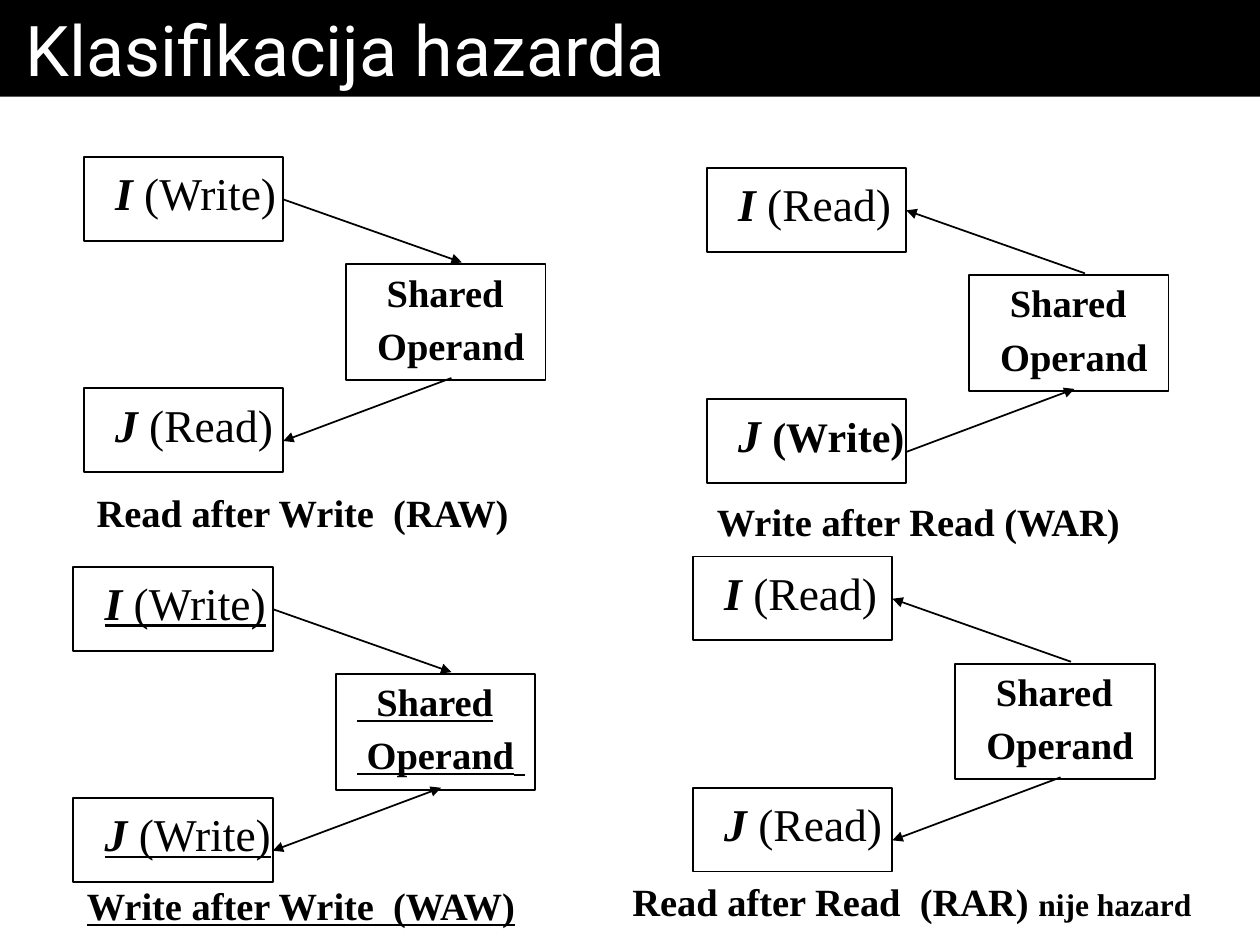
from dataclasses import dataclass

from lxml import etree
from pptx import Presentation
from pptx import util as u
from pptx.dml.color import RGBColor
from pptx.enum import shapes, text
from pptx.oxml import ns

Cm = u.Cm


@dataclass(frozen=True)
class Theme:
    ink: RGBColor = RGBColor(0, 0, 0)
    paper: RGBColor = RGBColor(255, 255, 255)
    title_font: str = "Roboto"
    body_font: str = "Times New Roman"
    title_size: int = 40
    label_size: int = 26
    strong_size: int = 24
    caption_size: int = 22
    note_size: int = 18
    line_width: int = 1


THEME = Theme()


@dataclass(frozen=True)
class Hazard:
    left: float
    top: float
    first: tuple
    second: tuple
    upper_ends: str
    lower_ends: str
    caption: tuple
    caption_at: tuple
    caption_width: float
    underline: bool = False


def run(content, **font):
    return content, font


def name(letter):
    return run(letter, size=THEME.label_size, bold=True, italic=True)


def action(content):
    return run(content, size=THEME.label_size)


def strong(content, size=THEME.caption_size):
    return run(content, size=size, bold=True)


def write_text(frame, lines, font=THEME.body_font, color=THEME.ink, underline=None):
    for index, line in enumerate(lines):
        paragraph = frame.add_paragraph() if index else frame.paragraphs[0]
        paragraph.alignment = text.PP_ALIGN.LEFT
        for content, style in line:
            piece = paragraph.add_run()
            piece.text = content
            piece.font.name = font
            piece.font.color.rgb = color
            piece.font.size = u.Pt(style["size"])
            piece.font.bold = style.get("bold", False)
            piece.font.italic = style.get("italic", False)
            piece.font.underline = underline


def add_label(parent, left, top, width, height, lines, **style):
    label = parent.shapes.add_textbox(Cm(left), Cm(top), Cm(width), Cm(height))
    label.text_frame.word_wrap = True
    label.text_frame.auto_size = text.MSO_AUTO_SIZE.SHAPE_TO_FIT_TEXT
    write_text(label.text_frame, lines, **style)


def add_box(parent, left, top, width, height):
    box = parent.shapes.add_shape(
        shapes.MSO_SHAPE.RECTANGLE, Cm(left), Cm(top), Cm(width), Cm(height))
    box.shadow.inherit = False
    box.fill.background()
    box.line.color.rgb = THEME.ink
    box.line.width = u.Pt(THEME.line_width)


def add_arrow(parent, start, end, ends):
    arrow = parent.shapes.add_connector(
        shapes.MSO_CONNECTOR.STRAIGHT, *map(Cm, start + end))
    arrow.line.color.rgb = THEME.ink
    arrow.line.width = u.Pt(THEME.line_width)
    line = arrow.line._get_or_add_ln()
    for tag, side in (("a:headEnd", "start"), ("a:tailEnd", "end")):
        if ends in (side, "both"):
            etree.SubElement(line, ns.qn(tag), type="triangle")
    etree.SubElement(arrow._element.spPr, ns.qn("a:effectLst"))


def add_title(slide, content):
    band = slide.shapes.add_shape(
        shapes.MSO_SHAPE.RECTANGLE, 0, 0, Cm(25.4), Cm(1.95))
    band.shadow.inherit = False
    band.fill.solid()
    band.fill.fore_color.rgb = THEME.ink
    band.line.fill.background()
    frame = band.text_frame
    frame.word_wrap = True
    frame.margin_left = frame.margin_right = Cm(0.51)
    frame.vertical_anchor = text.MSO_ANCHOR.TOP
    write_text(frame, [[run(content, size=THEME.title_size)]],
               font=THEME.title_font, color=THEME.paper)


def add_hazard(slide, hazard):
    group = slide.shapes.add_group_shape()
    left, top, underline = hazard.left, hazard.top, hazard.underline

    def at(across, down):
        return left + across, top + down

    for down, runs in ((0, hazard.first), (4.66, hazard.second)):
        add_box(group, *at(0, down), 4.02, 1.69)
        add_label(group, *at(0.38, down + 0.04), 4, 1.37, [runs],
                  underline=underline)

    add_box(group, *at(5.29, 2.16), 4.02, 2.33)
    operand = [[strong("  Shared")], [strong(" Operand"), action(" ")]]
    add_label(group, *at(5.47, 2.12), 4, 2.29, operand, underline=underline)

    add_arrow(group, at(4.02, 0.85), at(7.62, 2.12), hazard.upper_ends)
    add_arrow(group, at(7.41, 4.45), at(4.02, 5.72), hazard.lower_ends)
    add_label(group, *at(*hazard.caption_at), hazard.caption_width, 1.19,
              [hazard.caption], underline=underline)


def main():
    presentation = Presentation()
    presentation.slide_width, presentation.slide_height = Cm(25.4), Cm(19.05)
    slide = presentation.slides.add_slide(presentation.slide_layouts[6])
    add_title(slide, "Klasifikacija hazarda")

    write_first = (name("I"), action(" (Write)"))
    read_first = (name("I"), action(" (Read)"))
    read_second = (name("J"), action(" (Read)"))
    hazards = (
        Hazard(1.69, 3.17, write_first, read_second, "end", "end",
               (strong("Read after Write  (RAW)"),), (0.01, 6.56), 9.1),
        Hazard(14.25, 3.39, read_first,
               (name("J "), strong("(Write)", THEME.strong_size)),
               "start", "start",
               (strong("Write after Read (WAR)"),), (-0.05, 6.53), 8.9),
        Hazard(1.48, 11.43, write_first,
               (name("J "), action("(Write)")), "end", "both",
               (strong("Write after Write  (WAW)"),), (0.02, 6.22), 9.5,
               underline=True),
        Hazard(13.97, 11.22, read_first, read_second, "start", "end",
               (strong("Read after Read  (RAR) "),
                strong("nije hazard", THEME.note_size)), (-1.47, 6.35), 11.9),
    )
    for hazard in hazards:
        add_hazard(slide, hazard)
    presentation.save("out.pptx")


if __name__ == "__main__":
    main()
